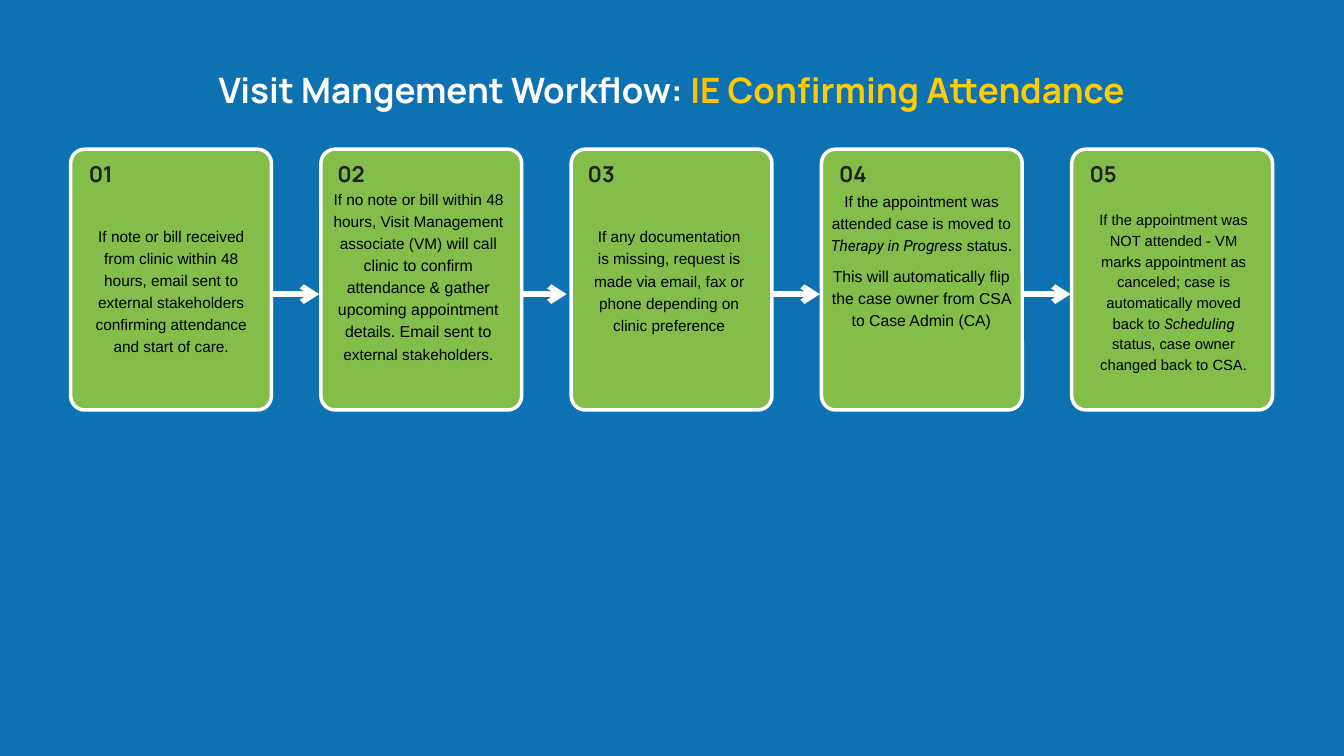
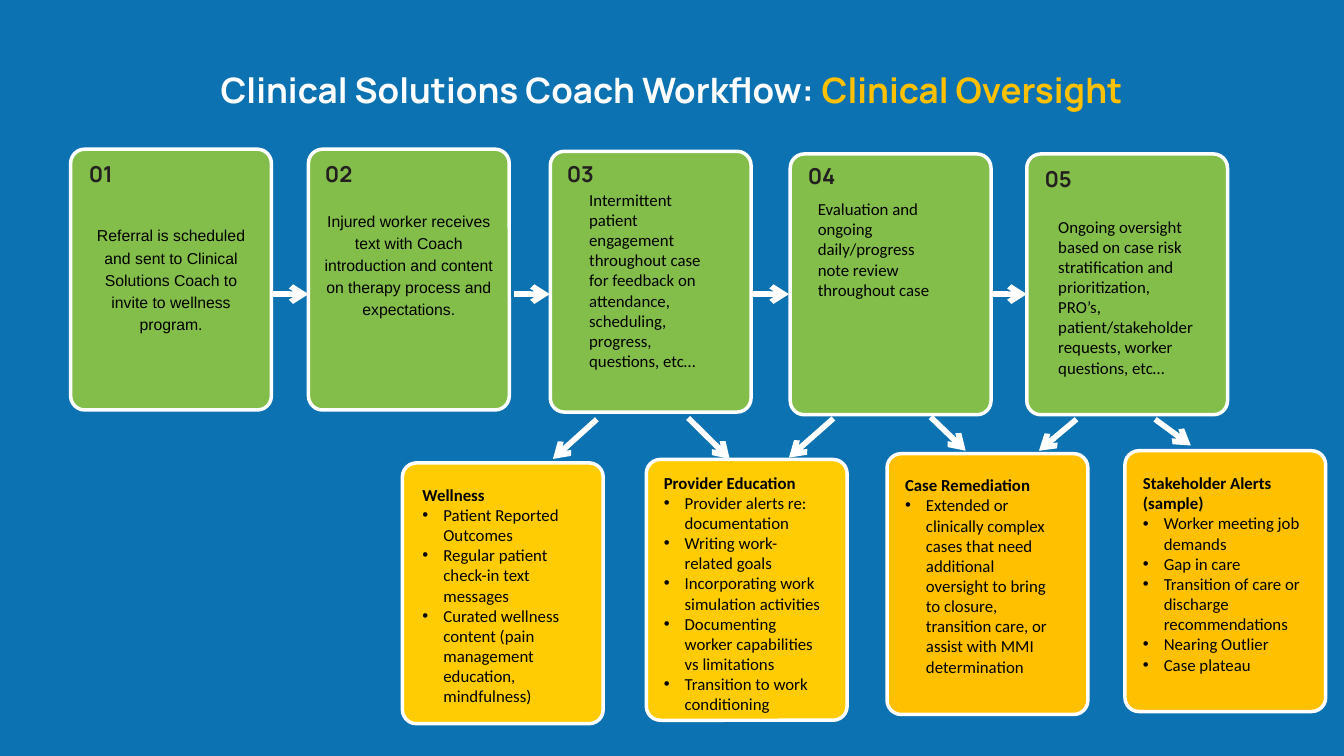
from dataclasses import dataclass, replace
from typing import Optional

from lxml import etree
from pptx import Presentation
from pptx.dml.color import RGBColor
from pptx.enum import shapes, text
from pptx.oxml import ns
from pptx.util import Cm, Pt

BLUE = RGBColor(0x0D, 0x72, 0xB1)
GREEN = RGBColor(0x83, 0xBD, 0x4A)
YELLOW = RGBColor(0xFF, 0xCB, 0x02)
AMBER = RGBColor(0xFF, 0xC0, 0x00)
WHITE = RGBColor(0xFF, 0xFF, 0xFF)
BLACK = RGBColor(0x00, 0x00, 0x00)
CHARCOAL = RGBColor(0x23, 0x1F, 0x20)

CARD_WIDTH, CARD_HEIGHT = 7.59, 9.86
CARD_CORNER = 0.07
ROW_TOP = 5.64
NUMBER_TOP = 5.89
NUMBER_INDENT = 0.48
FLOW_Y = 11.12
BULLET_INDENT = 0.79


@dataclass(frozen=True)
class Style:
    font: str
    size: float
    color: RGBColor = BLACK
    bold: bool = False
    centered: bool = True
    spacing: Optional[float] = None
    inset: bool = False


TITLE = Style("Manrope", 37.5, WHITE, True, spacing=53.2)
NUMBER = Style("Manrope", 23.5, CHARCOAL, True, spacing=32.9)
BODY = Style("Arial", 16.5, spacing=23.7)
LARGE_BODY = replace(BODY, size=16.9)
STATUS_BODY = replace(BODY, spacing=23.6)
SMALL_BODY = replace(BODY, size=15.8, spacing=22.1)
NOTE = Style("Calibri", 18, centered=False, inset=True)


@dataclass(frozen=True)
class Area:
    left: float
    top: float
    width: float
    height: float


@dataclass(frozen=True)
class Span:
    text: str
    font: Optional[str] = None
    size: Optional[float] = None
    color: Optional[RGBColor] = None
    italic: Optional[bool] = None


@dataclass(frozen=True)
class Para:
    spans: tuple[Span, ...]
    size: Optional[float] = None
    bold: Optional[bool] = None
    bullet: bool = False
    before: float = 0


@dataclass(frozen=True)
class Step:
    left: float
    area: Area
    paras: list[Para]
    style: Style = BODY
    top: float = ROW_TOP
    number_top: float = NUMBER_TOP


@dataclass(frozen=True)
class Topic:
    left: float
    top: float
    color: RGBColor
    area: Area
    heading: str
    items: list[str]


@dataclass(frozen=True)
class Arrow:
    x1: float
    y1: float
    x2: float
    y2: float


def plain(words: str) -> list[Para]:
    return [Para((Span(words),))]


def status(words: str) -> Span:
    return Span(words, font="Roboto", italic=True)


def flow_arrow(start: float, end: float) -> Arrow:
    return Arrow(start, FLOW_Y, end, FLOW_Y)


def add_bullet(paragraph) -> None:
    properties = paragraph._p.get_or_add_pPr()
    properties.set("marL", str(Cm(BULLET_INDENT)))
    properties.set("indent", str(-Cm(BULLET_INDENT)))
    etree.SubElement(properties, ns.qn("a:buFont")).set("typeface", "Arial")
    etree.SubElement(properties, ns.qn("a:buChar")).set("char", "•")


def add_span(paragraph, span: Span) -> None:
    run = paragraph.add_run()
    run.text = span.text
    if span.font:
        run.font.name = span.font
    if span.size:
        run.font.size = Pt(span.size)
    if span.color is not None:
        run.font.color.rgb = span.color
    if span.italic:
        run.font.italic = True


def add_text(page, area: Area, paras: list[Para], style: Style) -> None:
    box = page.shapes.add_textbox(Cm(area.left), Cm(area.top), Cm(area.width), Cm(area.height))
    frame = box.text_frame
    frame.word_wrap = True
    frame.auto_size = text.MSO_AUTO_SIZE.SHAPE_TO_FIT_TEXT
    if not style.inset:
        frame.margin_left = frame.margin_right = frame.margin_top = frame.margin_bottom = 0
    for index, para in enumerate(paras):
        paragraph = frame.add_paragraph() if index else frame.paragraphs[0]
        paragraph.alignment = text.PP_ALIGN.CENTER if style.centered else text.PP_ALIGN.LEFT
        if style.spacing:
            paragraph.line_spacing = Pt(style.spacing)
        if para.before:
            paragraph.space_before = Pt(para.before)
        if para.bullet:
            add_bullet(paragraph)
        font = paragraph.font
        font.name = style.font
        font.size = Pt(para.size or style.size)
        font.bold = style.bold if para.bold is None else para.bold
        font.color.rgb = style.color
        for span in para.spans:
            add_span(paragraph, span)


def add_card(page, left: float, top: float, color: RGBColor) -> None:
    card = page.shapes.add_shape(
        shapes.MSO_SHAPE.ROUNDED_RECTANGLE, Cm(left), Cm(top), Cm(CARD_WIDTH), Cm(CARD_HEIGHT))
    card.adjustments[0] = CARD_CORNER
    card.shadow.inherit = False
    card.fill.solid()
    card.fill.fore_color.rgb = color
    card.line.color.rgb = WHITE
    card.line.width = Pt(3.75)


def add_arrow(page, arrow: Arrow) -> None:
    connector = page.shapes.add_connector(
        shapes.MSO_CONNECTOR.STRAIGHT, Cm(arrow.x1), Cm(arrow.y1), Cm(arrow.x2), Cm(arrow.y2))
    connector.line.color.rgb = WHITE
    connector.line.width = Pt(6)
    line = connector.line._get_or_add_ln()
    etree.SubElement(line, ns.qn("a:tailEnd")).set("type", "arrow")
    etree.SubElement(connector._element.spPr, ns.qn("a:effectLst"))


def add_step(page, number: int, step: Step) -> None:
    add_card(page, step.left, step.top, GREEN)
    width = 1.32 if number < 4 else 1.42
    number_area = Area(step.left + NUMBER_INDENT, step.number_top, width, 1.17)
    add_text(page, number_area, plain(f"{number:02}"), NUMBER)
    add_text(page, step.area, step.paras, step.style)


def add_topic(page, topic: Topic) -> None:
    add_card(page, topic.left, topic.top, topic.color)
    heading = Para((Span(topic.heading),), bold=True)
    items = [Para((Span(item),), bullet=True) for item in topic.items]
    add_text(page, topic.area, [heading, *items], NOTE)


def add_workflow(deck, title: tuple[Span, ...], arrows: list[Arrow], steps: list[Step]):
    page = deck.slides.add_slide(deck.slide_layouts[6])
    page.background.fill.solid()
    page.background.fill.fore_color.rgb = BLUE
    add_text(page, Area(2.67, 2.29, 45.44, 1.8), [Para(title)], TITLE)
    for arrow in arrows:
        add_arrow(page, arrow)
    for number, step in enumerate(steps, 1):
        add_step(page, number, step)
    return page


ATTENDANCE_LEFTS = [2.67 + 9.46 * column for column in range(5)]
ATTENDANCE_ARROWS = [flow_arrow(x, x + 2.01) for x in (10.06, 19.41, 28.98, 38.46)]
ATTENDANCE_STEPS = [
    Step(ATTENDANCE_LEFTS[0], Area(3.56, 8.43, 5.82, 5.05), plain(
        "If note or bill received from clinic within 48 hours, email sent to external "
        "stakeholders confirming attendance and start of care.")),
    Step(ATTENDANCE_LEFTS[1], Area(12.6, 7.04, 6.43, 8.36), [
        Para((Span("If no note or bill within 48 hours, Visit Management associate (VM)"),
              Span(" will call clinic to confirm attendance & gather upcoming appointment "
                   "details. Email sent to", size=17))),
        Para((Span("external stakeholders."),))]),
    Step(ATTENDANCE_LEFTS[2], Area(22.38, 8.46, 5.82, 4.17), plain(
        "If any documentation is missing, request is made via email, fax or phone "
        "depending on clinic preference")),
    Step(ATTENDANCE_LEFTS[3], Area(31.39, 7.11, 6.88, 6.27), [
        Para((Span("If the appointment was attended case is moved to "),
              status("Therapy in Progress"), Span(" status."))),
        Para((Span("This will automatically flip the case owner from CSA to Case Admin (CA)"),),
             size=16.9, before=9.7)], STATUS_BODY),
    Step(ATTENDANCE_LEFTS[4], Area(41.43, 7.87, 5.87, 6.22), [
        Para((Span("If the appointment was NOT attended - VM marks appointment as canceled; "
                   "case is automatically moved back to "),
              status("Scheduling "), Span("status, case owner changed back to CSA.")))],
         SMALL_BODY),
]

OVERSIGHT_ARROWS = [
    flow_arrow(10.31, 11.66),
    flow_arrow(19.41, 20.78),
    flow_arrow(28.47, 29.82),
    flow_arrow(37.54, 38.81),
]
OVERSIGHT_STEPS = [
    Step(2.67, Area(3.56, 8.43, 5.82, 4.19), plain(
        "Referral is scheduled and sent to Clinical Solutions Coach to invite to "
        "wellness program."), LARGE_BODY),
    Step(11.66, Area(12.24, 7.87, 6.43, 5.79), plain(
        "Injured worker receives text with Coach introduction and content on therapy "
        "process and expectations."), LARGE_BODY),
    Step(20.8, Area(22.02, 7.04, 5.13, 7.19), plain(
        "Intermittent patient engagement throughout case for feedback on attendance, "
        "scheduling, progress, questions, etc…"), NOTE, 5.72),
    Step(29.87, Area(30.66, 7.39, 5.46, 4.11), plain(
        "Evaluation and ongoing daily/progress note review throughout case"),
         NOTE, 5.82, 5.97),
    Step(38.81, Area(39.75, 8.05, 5.64, 6.4), plain(
        "Ongoing oversight based on case risk stratification and prioritization, PRO’s, "
        "patient/stakeholder requests, worker questions, etc…"), NOTE, 5.82, 6.1),
]
TOPIC_ARROWS = [
    Arrow(22.56, 15.85, 20.9, 17.35),
    Arrow(26.01, 15.8, 27.58, 17.35),
    Arrow(31.5, 15.82, 29.82, 17.3),
    Arrow(35.18, 15.77, 36.5, 17.04),
    Arrow(40.69, 15.85, 39.27, 17.04),
    Arrow(43.66, 15.85, 45.01, 16.84),
]
TOPICS = [
    Topic(15.21, 17.5, YELLOW, Area(15.72, 18.19, 6.15, 9.5), "Wellness", [
        "Patient Reported Outcomes",
        "Regular patient check-in text messages",
        "Curated wellness content (pain management education, mindfulness)"]),
    Topic(24.43, 17.37, YELLOW, Area(24.84, 17.73, 6.53, 10.26), "Provider Education", [
        "Provider alerts re: documentation",
        "Writing work-related goals",
        "Incorporating work simulation activities",
        "Documenting worker capabilities vs limitations",
        "Transition to work conditioning"]),
    Topic(33.53, 17.15, AMBER, Area(33.96, 17.83, 6.25, 7.95), "Case Remediation", [
        "Extended or clinically complex cases that need additional oversight to bring to "
        "closure, transition care, or assist with MMI determination"]),
    Topic(42.52, 17.04, AMBER, Area(42.95, 17.75, 6.73, 8.71), "Stakeholder Alerts (sample)", [
        "Worker meeting job demands",
        "Gap in care",
        "Transition of care or discharge recommendations",
        "Nearing Outlier",
        "Case plateau"]),
]


def main() -> None:
    deck = Presentation()
    deck.slide_width, deck.slide_height = Cm(50.8), Cm(28.58)
    attendance_title = (Span("Visit Mangement Workflow: "), Span("IE ", color=AMBER),
                        Span("Confirming Attendance", color=YELLOW))
    add_workflow(deck, attendance_title, ATTENDANCE_ARROWS, ATTENDANCE_STEPS)
    oversight_title = (Span("Clinical Solutions Coach Workflow: "),
                       Span("Clinical Oversight", color=AMBER))
    oversight = add_workflow(deck, oversight_title, OVERSIGHT_ARROWS, OVERSIGHT_STEPS)
    for topic in TOPICS:
        add_topic(oversight, topic)
    for arrow in TOPIC_ARROWS:
        add_arrow(oversight, arrow)
    deck.save("out.pptx")


if __name__ == "__main__":
    main()
